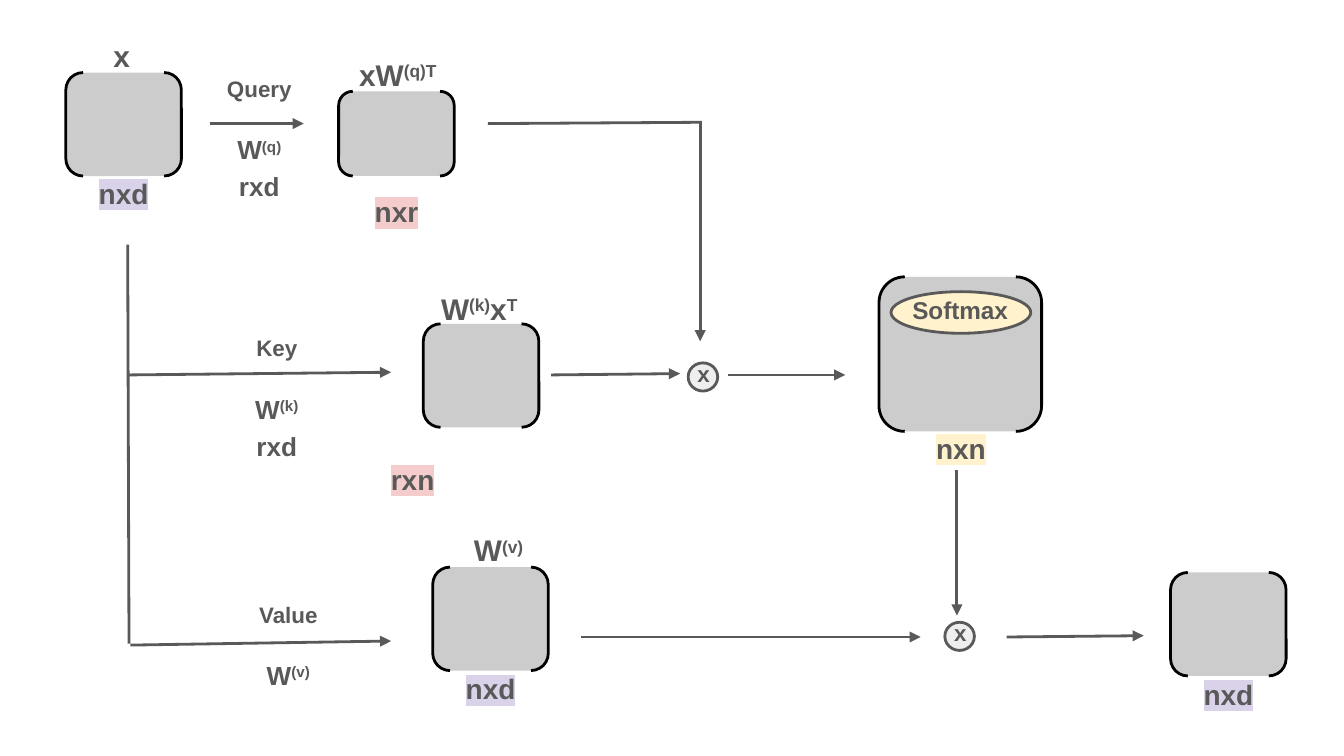
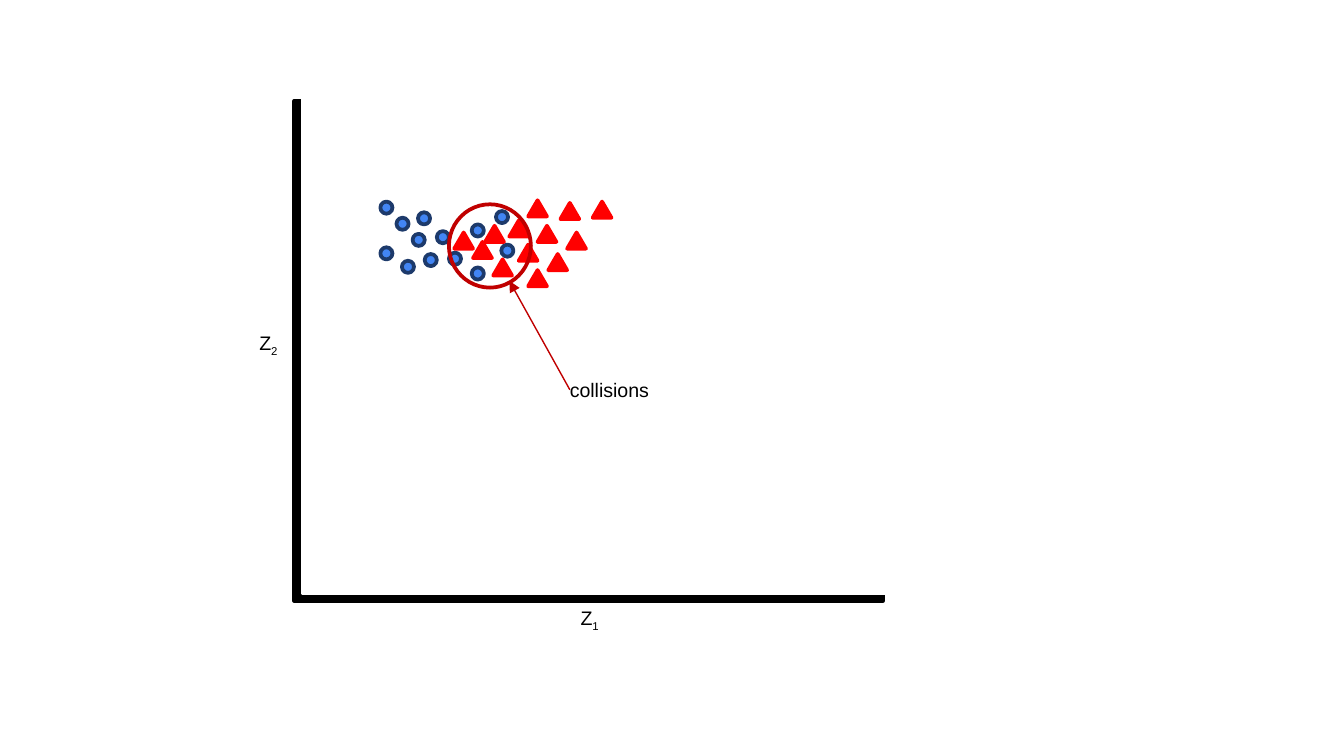
from lxml.etree import SubElement
from pptx import Presentation
from pptx.dml.color import RGBColor
from pptx.enum.shapes import MSO_CONNECTOR, MSO_SHAPE
from pptx.enum.text import PP_ALIGN
from pptx.oxml.ns import qn
from pptx.util import Pt

PX = 9144
FONT = "Arial"
GREY, BLACK, WHITE = "595959", "000000", "FFFFFF"
MATRIX, NODE = "CCCCCC", "EEEEEE"
LILAC, PINK, CREAM = "D9D2E9", "F4CCCC", "FFF2CC"
BLUE, NAVY, RED, CRIMSON = "4285F4", "1D3A6B", "FF0000", "C00000"


def paint(shape, line, width, fill=None, arrow=False):
    shape.line.color.rgb = RGBColor.from_string(line)
    shape.line.width = Pt(width)
    properties = shape._element.spPr
    if arrow:
        SubElement(properties.find(qn("a:ln")), qn("a:tailEnd"), type="triangle")
    SubElement(properties, qn("a:effectLst"))
    if fill:
        shape.fill.solid()
        shape.fill.fore_color.rgb = RGBColor.from_string(fill)
    elif hasattr(shape, "fill"):
        shape.fill.background()


def write(slide, box, *lines, size=16, color=GREY, bold=True, align=PP_ALIGN.CENTER,
          highlight=None, shift=30, inset=(10, 10)):
    frame = slide.shapes.add_textbox(*(n * PX for n in box)).text_frame
    frame.word_wrap = True
    frame.margin_left = frame.margin_right = inset[0] * PX
    frame.margin_top = frame.margin_bottom = inset[1] * PX
    for index, line in enumerate(lines):
        text, line_size, before = line if isinstance(line, tuple) else (line, size, 0)
        paragraph = frame.add_paragraph() if index else frame.paragraphs[0]
        paragraph.alignment = align
        paragraph.space_before = Pt(before)
        for part, piece in enumerate(text.split("^")):
            if not piece:
                continue
            run = paragraph.add_run()
            run.text = piece
            run.font.size = Pt(line_size)
            run.font.bold = bold
            run.font.color.rgb = RGBColor.from_string(color)
            if highlight:
                marker = SubElement(run.font._element, qn("a:highlight"))
                SubElement(marker, qn("a:srgbClr"), val=highlight)
            run.font.name = FONT
            if part % 2:
                run.font._element.set("baseline", str(shift * 1000))


deck = Presentation()
deck.slide_width = 1000 * PX
deck.slide_height = deck.slide_width * 9 // 16
blank = deck.slide_layouts[6]

attention = deck.slides.add_slide(blank)

for x, y, w, h in [(49, 54, 86, 77), (252, 68, 86, 63), (315, 241, 86, 77),
                   (322, 422, 86, 77), (871, 426, 86, 77), (654, 206, 121, 115)]:
    matrix = attention.shapes.add_shape(MSO_SHAPE.DOUBLE_BRACKET, x * PX, y * PX, w * PX, h * PX)
    paint(matrix, BLACK, 1.5, MATRIX)

for x1, y1, x2, y2, arrow in [
    (156, 92, 226, 92, True),
    (95, 182, 96, 479, False),
    (96, 279, 291, 277, True),
    (97, 480, 291, 477, True),
    (363, 92, 522, 91, False),
    (521, 90, 521, 254, True),
    (410, 279, 506, 278, True),
    (542, 279, 629, 279, True),
    (432, 474, 685, 474, True),
    (712, 350, 712, 458, True),
    (749, 474, 851, 473, True),
]:
    flow = attention.shapes.add_connector(MSO_CONNECTOR.STRAIGHT, x1 * PX, y1 * PX, x2 * PX, y2 * PX)
    paint(flow, GREY, 1.5, arrow=arrow)

for x, y, w, h, fill in [(703, 463, 22, 21, NODE), (512, 270, 22, 21, NODE), (663, 217, 104, 31, CREAM)]:
    operation = attention.shapes.add_shape(MSO_SHAPE.OVAL, x * PX, y * PX, w * PX, h * PX)
    paint(operation, GREY, 1.5, fill)

for x, y in [(700, 451), (509, 258)]:
    write(attention, (x, y, 22, 40), "x", size=12, align=PP_ALIGN.LEFT)
write(attention, (669, 210, 148, 32), "Softmax", size=13, align=PP_ALIGN.LEFT)

for x, y, w, formula in [(63, 18, 55, "x"), (251, 32, 90, "xW^(q)^^T^".replace("^^", "")),
                         (304, 206, 105, "W^(k)^x^T"), (336, 386, 70, "W^(v)")]:
    write(attention, (x, y, w, 53), formula)

for x, y, size_label, tint in [(31, 121, "nxd", LILAC), (234, 135, "nxr", PINK), (304, 490, "nxd", LILAC),
                               (654, 311, "nxn", CREAM), (853, 494, "nxd", LILAC)]:
    write(attention, (x, y, 122, 45), size_label, size=15, highlight=tint)
write(attention, (281, 334, 122, 45), "rxn", size=15, highlight=PINK, align=PP_ALIGN.LEFT)

for x, y, w, role, weight, *weight_size in [(150, 46, 86, "Query", "W^(q)", "rxd"),
                                            (174, 239, 64, "Key", "W^(k)", "rxd"),
                                            (177, 437, 75, "Value", "W^(v)")]:
    write(attention, (x, y, w, 20), (role, 12, 0), (weight, 14, 17),
          *((text, 14, 3) for text in weight_size))

latent = deck.slides.add_slide(blank)

axes = latent.shapes.add_group_shape()
for x, y, color in [(219, 75, BLACK), (225, 69, WHITE)]:
    plane = axes.shapes.add_shape(MSO_SHAPE.RECTANGLE, x * PX, y * PX, 438 * PX, 372 * PX)
    paint(plane, color, 2, color)

circles = [(283, 150), (295, 162), (307, 174), (283, 184), (299, 194), (316, 189), (325, 172),
           (311, 158), (334, 188), (351, 167), (351, 199), (373, 182), (369, 157)]
triangles = [(393, 149), (361, 168), (379, 164), (352, 180), (367, 193), (386, 182), (400, 168),
             (408, 189), (393, 201), (422, 173), (417, 151), (441, 150), (338, 173)]
for points, kind, w, h, fill, line in [(circles, MSO_SHAPE.OVAL, 9, 9, BLUE, NAVY),
                                       (triangles, MSO_SHAPE.ISOSCELES_TRIANGLE, 14, 12, RED, RED)]:
    for x, y in points:
        point = latent.shapes.add_shape(kind, x * PX, y * PX, w * PX, h * PX)
        paint(point, line, 2, fill)

overlap = latent.shapes.add_shape(MSO_SHAPE.OVAL, 334 * PX, 152 * PX, 61 * PX, 62 * PX)
paint(overlap, CRIMSON, 2)
pointer = latent.shapes.add_connector(MSO_CONNECTOR.STRAIGHT, 424 * PX, 290 * PX, 379 * PX, 209 * PX)
paint(pointer, CRIMSON, 0.75, arrow=True)

for x, y, w, label in [(186, 242, 33, "Z^2"), (425, 447, 33, "Z^1"), (417, 277, 225, "collisions")]:
    write(latent, (x, y, w, 25), label, size=10.5, color=BLACK, bold=False,
          align=PP_ALIGN.LEFT, shift=-25, inset=(7, 4))

deck.save("out.pptx")
